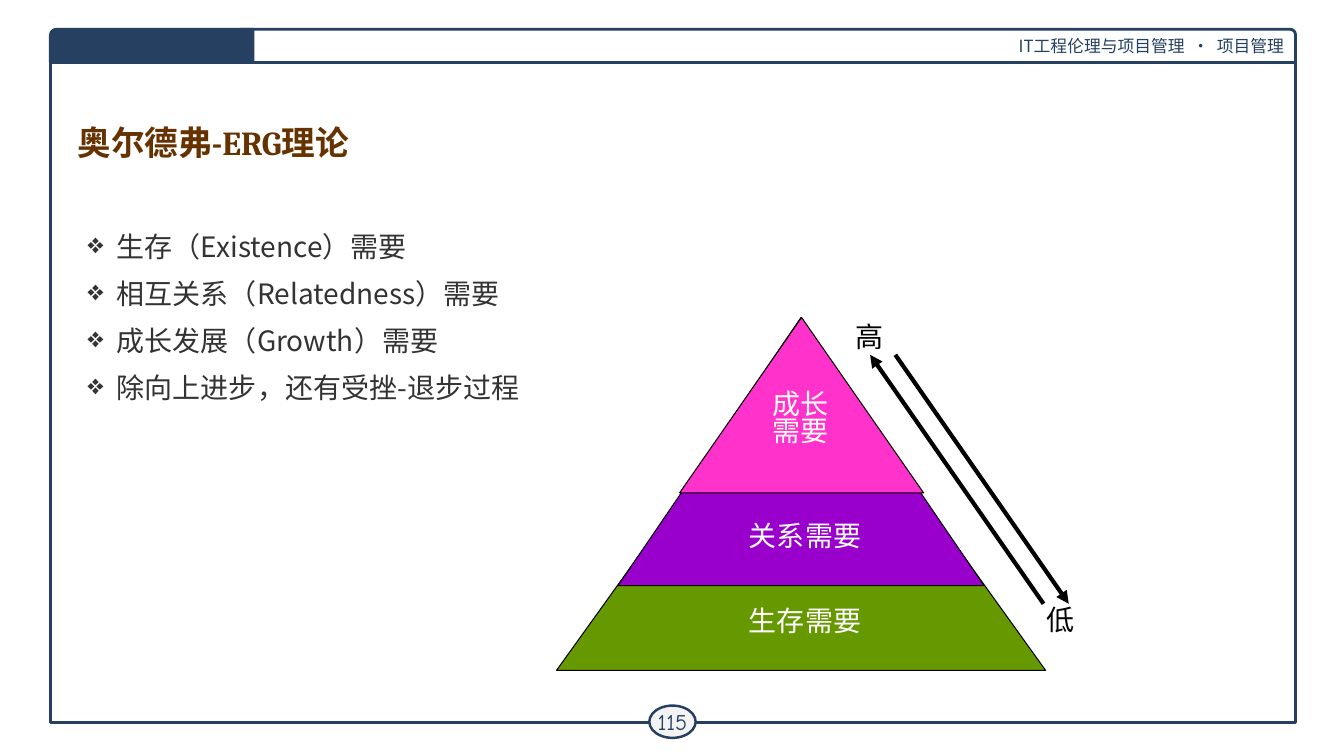
import pptx
import pptx.dml.color
import pptx.enum.shapes
import pptx.enum.text
import pptx.oxml.ns
import pptx.util
from lxml import etree

Inches = pptx.util.Inches
Pt = pptx.util.Pt
RGBColor = pptx.dml.color.RGBColor
SHAPE = pptx.enum.shapes.MSO_SHAPE
ALIGN = pptx.enum.text.PP_ALIGN
ANCHOR = pptx.enum.text.MSO_ANCHOR
qn = pptx.oxml.ns.qn

NAVY = RGBColor(0x25, 0x40, 0x61)
BROWN = RGBColor(0x66, 0x33, 0x00)
CHARCOAL = RGBColor(0x33, 0x33, 0x33)
PALE_GRAY = RGBColor(0xF3, 0xF3, 0xF3)
GREEN = RGBColor(0x66, 0x99, 0x00)
PURPLE = RGBColor(0x99, 0x00, 0xCC)
PINK = RGBColor(0xFF, 0x33, 0xCC)
BLACK = RGBColor(0x00, 0x00, 0x00)
WHITE = RGBColor(0xFF, 0xFF, 0xFF)

SANS = "Noto Sans CJK SC"

NEEDS = [
    "生存（Existence）需要",
    "相互关系（Relatedness）需要",
    "成长发展（Growth）需要",
    "除向上进步，还有受挫-退步过程",
]
# left, top, width, height, fill; the widest level lies at the back
LEVELS = [
    (5.52, 3.27, 4.85, 3.38, GREEN),
    (6.13, 3.15, 3.63, 2.66, PURPLE),
    (6.74, 3.15, 2.42, 1.74, PINK),
]


def add_filled_shape(shapes, kind, left, top, width, height, fill, line, weight):
    shape = shapes.add_shape(
        kind, Inches(left), Inches(top), Inches(width), Inches(height))
    shape.shadow.inherit = False
    if fill is None:
        shape.fill.background()
    else:
        shape.fill.solid()
        shape.fill.fore_color.rgb = fill
    shape.line.color.rgb = line
    shape.line.width = Pt(weight)
    return shape


def write_text(para, text, size, color, font=SANS, bold=False):
    """Add one run, with the sans font for its East Asian letters."""
    span = para.add_run()
    span.text = text
    span.font.size = Pt(size)
    span.font.name = font
    span.font.bold = bold
    span.font.color.rgb = color
    east_asian = etree.SubElement(span.font._element, qn("a:ea"))
    east_asian.set("typeface", SANS)


def add_text_box(shapes, left, top, width, height, lines, color,
                 align=ALIGN.LEFT, spacing=24):
    """Add a 20 point text box with one paragraph for each line."""
    box = shapes.add_textbox(
        Inches(left), Inches(top), Inches(width), Inches(height))
    frame = box.text_frame
    frame.word_wrap = True
    for index, line in enumerate(lines):
        para = frame.add_paragraph() if index else frame.paragraphs[0]
        para.alignment = align
        para.line_spacing = Pt(spacing)
        write_text(para, line, 20, color)
    return box


def add_bullet(para):
    properties = para._p.get_or_add_pPr()
    properties.set("marL", str(Inches(0.29)))
    properties.set("indent", str(-Inches(0.29)))
    etree.SubElement(properties, qn("a:buChar")).set("char", "❖")


def add_arrow(shapes, start_x, start_y, end_x, end_y):
    arrow = shapes.add_connector(
        pptx.enum.shapes.MSO_CONNECTOR.STRAIGHT,
        Inches(start_x), Inches(start_y), Inches(end_x), Inches(end_y))
    arrow.line.color.rgb = BLACK
    arrow.line.width = Pt(3)
    line = arrow.line._get_or_add_ln()
    etree.SubElement(line, qn("a:tailEnd")).set("type", "triangle")
    etree.SubElement(arrow._element.spPr, qn("a:effectLst"))


def add_page_frame(shapes):
    add_filled_shape(shapes, SHAPE.RECTANGLE, 0.5, 0.5, 12.35, 6.67,
                     None, NAVY, 2)

    header = add_filled_shape(shapes, SHAPE.ROUND_1_RECTANGLE,
                              2.38, 0.29, 10.47, 0.33, WHITE, NAVY, 2)
    header.text_frame.vertical_anchor = ANCHOR.MIDDLE
    para = header.text_frame.paragraphs[0]
    para.alignment = ALIGN.RIGHT
    write_text(para, "IT工程伦理与项目管理  ·  项目管理", 12, NAVY)

    badge = add_filled_shape(shapes, SHAPE.OVAL, 6.44, 7, 0.46, 0.32,
                             PALE_GRAY, NAVY, 1.75)
    frame = badge.text_frame
    frame.word_wrap = False
    frame.vertical_anchor = ANCHOR.MIDDLE
    frame.margin_left = frame.margin_right = Inches(0.04)
    frame.margin_top = frame.margin_bottom = Inches(0.04)
    frame.paragraphs[0].alignment = ALIGN.CENTER
    write_text(frame.paragraphs[0], "115", 16, NAVY, "Comic Neue")

    tab = add_filled_shape(shapes, SHAPE.ROUND_1_RECTANGLE,
                           0.5, 0.29, 2.01, 0.33, NAVY, NAVY, 2)
    tab.adjustments[0] = 0.175
    tab._element.spPr.xfrm.set("flipH", "1")


def add_title(shapes):
    box = shapes.add_textbox(Inches(0.67), Inches(1.17), Inches(12), Inches(0.48))
    box.text_frame.word_wrap = True
    box.text_frame.vertical_anchor = ANCHOR.MIDDLE
    write_text(box.text_frame.paragraphs[0], "奥尔德弗-ERG理论", 24, BROWN,
               "Cambria", bold=True)


def add_needs_list(shapes):
    box = add_text_box(shapes, 0.77, 2.23, 9.27, 1.96, NEEDS, CHARCOAL)
    for index, para in enumerate(box.text_frame.paragraphs):
        add_bullet(para)
        para.space_before = Pt(7.2 if index else 0)
        para.space_after = Pt(2.4)


def add_pyramid(shapes):
    for left, top, width, height, fill in LEVELS:
        add_filled_shape(shapes, SHAPE.ISOSCELES_TRIANGLE,
                         left, top, width, height, fill, BLACK, 0.75)
    for top, label in ((5.94, "生存需要"), (5.09, "关系需要")):
        add_text_box(shapes, 5.9, top, 4.17, 0.44, [label], WHITE, ALIGN.CENTER)
    add_text_box(shapes, 5.82, 3.85, 4.24, 0.64, ["成长", "需要"], WHITE,
                 ALIGN.CENTER, spacing=19.2)
    for left, top, label in ((8.39, 3.12, "高"), (10.28, 5.93, "低")):
        add_text_box(shapes, left, top, 1.47, 0.44, [label], BLACK)
    add_arrow(shapes, 10.35, 5.99, 8.63, 3.52)
    add_arrow(shapes, 8.88, 3.52, 10.6, 5.99)


def main():
    deck = pptx.Presentation()
    deck.slide_width = Inches(13.33)
    deck.slide_height = Inches(7.5)
    page = deck.slides.add_slide(deck.slide_layouts[6])
    add_page_frame(page.shapes)
    add_title(page.shapes)
    add_needs_list(page.shapes)
    add_pyramid(page.shapes.add_group_shape().shapes)
    deck.save("out.pptx")


if __name__ == "__main__":
    main()
